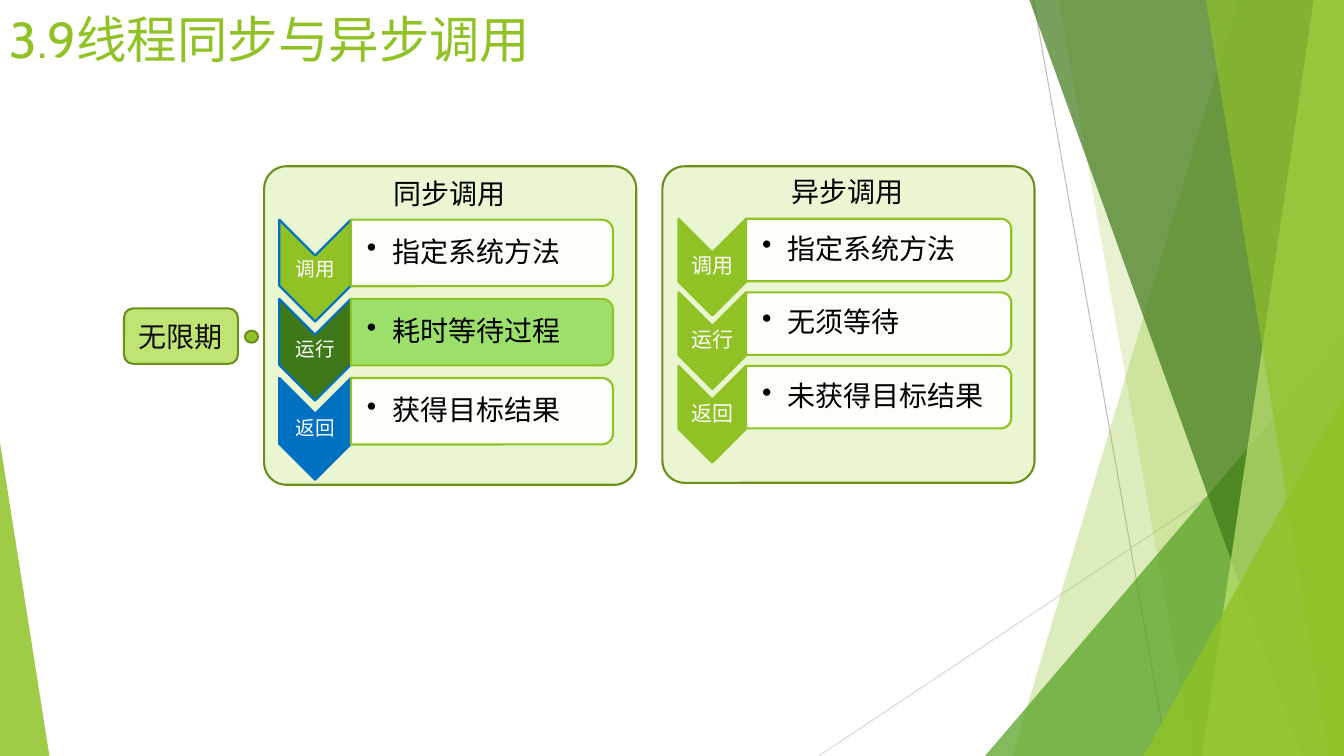
"""Build the slide on synchronous and asynchronous thread calls."""
from lxml import etree
from pptx import Presentation
from pptx.dml.color import RGBColor
from pptx.enum.shapes import MSO_CONNECTOR, MSO_SHAPE as SHAPE
from pptx.enum.text import MSO_ANCHOR as ANCHOR, PP_ALIGN as ALIGN
from pptx.oxml.ns import qn
from pptx.util import Inches, Pt

WIDTH, HEIGHT = 13.33, 7.5
CJK, LATIN = "Noto Sans CJK SC", "Cabin"
GREEN, OLIVE, FOREST, BLUE = "90C226", "6B901C", "3F7819", "0070C0"
LIME, PALE, WHITE, BLACK = "C0E474", "EAF6D1", "FFFFFF", "000000"

TITLE = "3.9线程同步与异步调用"
WAIT_LABEL = "无限期"
HAIRLINES = [((10.25, 0), (11.58, HEIGHT), "BFBFBF"),
             ((WIDTH, 4.03), (8.12, HEIGHT), "D9D9D9")]
# Bands run to the right edge: top-left x, bottom-left x, colour, opacity
# Triangles: box, apex position, colour, opacity
FACETS = [
    ("band", (12.28, 10.04), GREEN, 30),
    ("band", (10.5, 11.83), GREEN, 20),
    ("triangle", ((9.77, 3.33, 3.56, 4.17), 1), "54A021", 72),
    ("band", (10.21, 12.91), FOREST, 70),
    ("band", (13.03, 11.92), LIME, 70),
    ("band", (11.96, 13.18), GREEN, 65),
    ("triangle", ((11.34, 3.93, 1.99, 3.57), 1), GREEN, 80),
    ("triangle", ((0, 4.39, 0.49, 3.11), 0), GREEN, 85),
]
PANELS = [
    dict(name="异步调用", box=(6.57, 1.65, 3.69, 3.14), label_dy=0.03,
         top=2.17, pitch=0.73, arrow=(6.73, 0.67, 0.96), bar=(7.4, 2.63, 0.62),
         font=LATIN, size=15, edge=None,
         steps=[("调用", "指定系统方法", GREEN, WHITE),
                ("运行", "无须等待", GREEN, WHITE),
                ("返回", "未获得目标结果", GREEN, WHITE)]),
    dict(name="同步调用", box=(2.62, 1.65, 3.69, 3.16), label_dy=0.05,
         top=2.18, pitch=0.785, arrow=(2.77, 0.71, 1.01), bar=(3.48, 2.6, 0.66),
         font=CJK, size=14, edge=BLUE,
         steps=[("调用", "指定系统方法", GREEN, WHITE),
                ("运行", "耗时等待过程", FOREST, "94DE61"),
                ("返回", "获得目标结果", BLUE, WHITE)]),
]


def rgb(value):
    return RGBColor.from_string(value)


def paint(sp, fill, line=None, alpha=100):
    sp.shadow.inherit = False
    sp.fill.solid()
    sp.fill.fore_color.rgb = rgb(fill)
    if alpha < 100:
        color = sp.fill._xPr.find(qn("a:solidFill"))[0]
        etree.SubElement(color, qn("a:alpha"), val=str(alpha * 1000))
    if line:
        sp.line.color.rgb = rgb(line)
        sp.line.width = Pt(1.5)
    else:
        sp.line.fill.background()


def add_shape(s, kind, box, fill, line=None, alpha=100, adj=None, turned=False):
    x, y, w, h = box
    if turned:
        x, y, w, h = x + (w - h) / 2, y + (h - w) / 2, h, w
    sp = s.shapes.add_shape(kind, *map(Inches, (x, y, w, h)))
    if turned:
        sp.rotation = 90
    if adj is not None:
        sp.adjustments[0] = adj
    paint(sp, fill, line, alpha)
    return sp


def add_band(s, top_x, bottom_x, fill, alpha):
    points = [(top_x, 0), (WIDTH, 0), (WIDTH, HEIGHT), (bottom_x, HEIGHT)]
    points = [(Inches(x), Inches(y)) for x, y in points]
    builder = s.shapes.build_freeform(*points[0])
    builder.add_line_segments(points[1:], close=True)
    paint(builder.convert_to_shape(), fill, alpha=alpha)


def add_text(s, text, box=None, sp=None, size=20, font=CJK, color=BLACK, align=None,
             anchor=ANCHOR.TOP, insets=None, wrap=True, spacing=None, bullet=False):
    sp = sp or s.shapes.add_textbox(*map(Inches, box))
    tf = sp.text_frame
    tf.word_wrap, tf.vertical_anchor = wrap, anchor
    if insets:
        (tf.margin_left, tf.margin_top,
         tf.margin_right, tf.margin_bottom) = map(Inches, insets)
    p = tf.paragraphs[0]
    if bullet:
        pPr = p._p.get_or_add_pPr()
        pPr.set("marL", str(Inches(0.25)))
        pPr.set("indent", str(-Inches(0.25)))
        etree.SubElement(pPr, qn("a:buChar"), char="•")
    if align is not None:
        p.alignment = align
    if spacing:
        p.line_spacing = spacing
    r = p.add_run()
    r.text = text
    r.font.size, r.font.name = Pt(size), font
    r.font.color.rgb = rgb(color)
    etree.SubElement(r._r.get_or_add_rPr(), qn("a:ea"), typeface=font)


def add_hairline(s, start, end, color):
    ends = map(Inches, (*start, *end))
    line = s.shapes.add_connector(MSO_CONNECTOR.STRAIGHT, *ends)
    line.line.color.rgb = rgb(color)
    line.line.width = Pt(0.75)
    etree.SubElement(line._element.spPr, qn("a:effectLst"))


def add_panel(s, panel):
    x, y, w, h = panel["box"]
    add_shape(s, SHAPE.ROUNDED_RECTANGLE, panel["box"], PALE, OLIVE, adj=0.07)
    add_text(s, panel["name"], (x + 1.18, y + panel["label_dy"], 1.32, 0.44), wrap=False)
    arrow_x, arrow_w, arrow_h = panel["arrow"]
    bar_x, bar_w, bar_h = panel["bar"]
    for i, (step, detail, fill, bar_fill) in enumerate(panel["steps"]):
        top = panel["top"] + i * panel["pitch"]
        add_shape(s, SHAPE.CHEVRON, (arrow_x, top, arrow_w, arrow_h), fill,
                  panel["edge"] or fill, turned=True)
        add_text(s, step, (arrow_x, top + arrow_w / 2, arrow_w, arrow_h - arrow_w),
                 size=panel["size"], font=panel["font"], color=WHITE, spacing=0.9,
                 align=ALIGN.CENTER, anchor=ANCHOR.MIDDLE, insets=[0.01] * 4)
        add_shape(s, SHAPE.ROUND_2_SAME_RECTANGLE, (bar_x, top, bar_w, bar_h),
                  bar_fill, GREEN, alpha=90, turned=True)
        add_text(s, detail, (bar_x, top + 0.03, bar_w - 0.03, bar_h - 0.06),
                 anchor=ANCHOR.MIDDLE, insets=(0.16, 0.01, 0.01, 0.01),
                 spacing=0.9, bullet=True)


def main():
    prs = Presentation()
    prs.slide_width, prs.slide_height = Inches(WIDTH), Inches(HEIGHT)
    s = prs.slides.add_slide(prs.slide_layouts[6])
    for hairline in HAIRLINES:
        add_hairline(s, *hairline)
    for kind, geometry, fill, alpha in FACETS:
        if kind == "band":
            add_band(s, *geometry, fill, alpha)
        else:
            box, apex = geometry
            add_shape(s, SHAPE.ISOSCELES_TRIANGLE, box, fill, alpha=alpha, adj=apex)
    add_text(s, TITLE, (0, 0.03, 6.21, 0.78), size=36, font=LATIN, color=GREEN)
    for panel in PANELS:
        add_panel(s, panel)
    wait = add_shape(s, SHAPE.ROUNDED_RECTANGLE, (1.23, 3.06, 1.13, 0.55), LIME, OLIVE)
    add_text(s, WAIT_LABEL, sp=wait, color="0D0D0D", align=ALIGN.CENTER,
             anchor=ANCHOR.MIDDLE)
    add_shape(s, SHAPE.OVAL, (2.43, 3.28, 0.13, 0.12), GREEN, OLIVE)
    prs.save("out.pptx")


if __name__ == "__main__":
    main()
